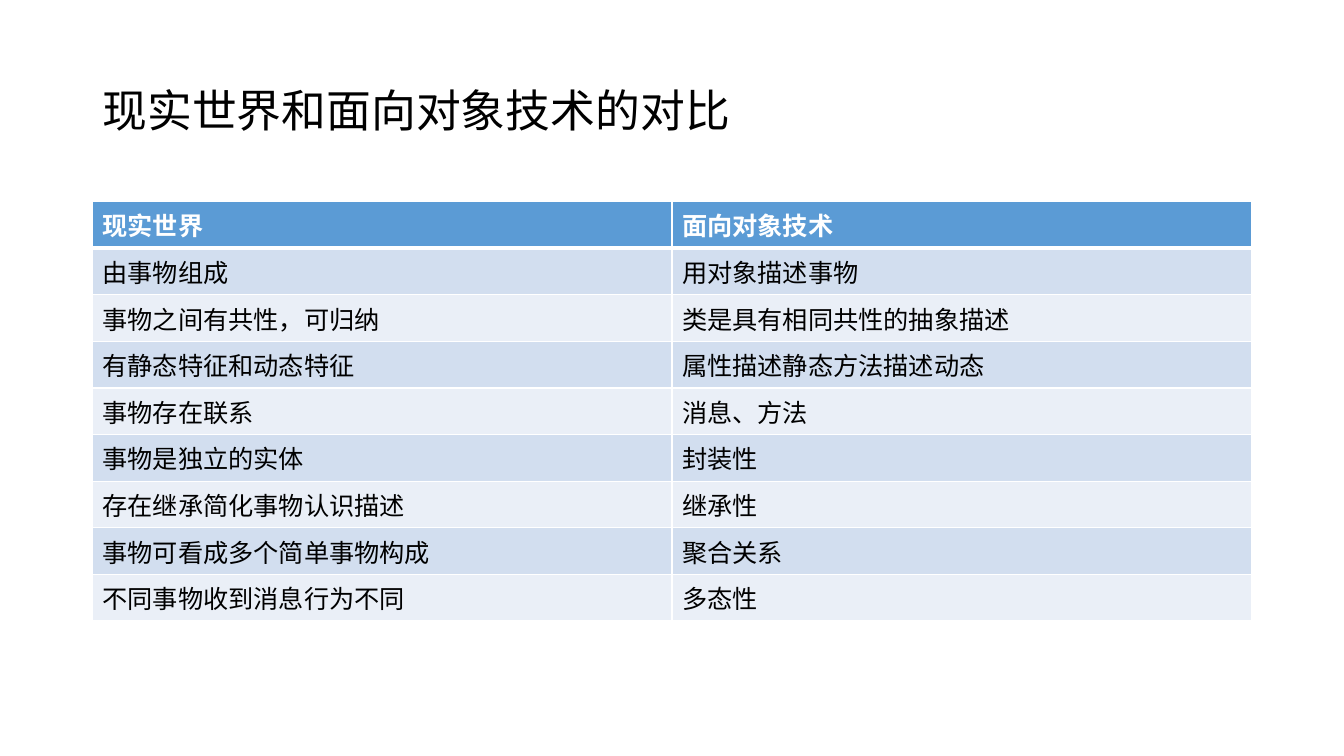
from dataclasses import dataclass

from pptx import Presentation
from pptx.dml.color import RGBColor
from pptx.enum.lang import MSO_LANGUAGE_ID as Language
from pptx.enum.text import MSO_ANCHOR as Anchor, MSO_AUTO_SIZE as AutoSize, PP_ALIGN as Align
from pptx.oxml import parse_xml
from pptx.oxml.ns import nsdecls
from pptx.util import Emu, Pt

PX = 9525  # EMU in one px, 96 px to the inch
TITLE_ONLY = 5

TITLE = "现实世界和面向对象技术的对比"
COMPARISON = [
    ("现实世界", "面向对象技术"),
    ("由事物组成", "用对象描述事物"),
    ("事物之间有共性，可归纳", "类是具有相同共性的抽象描述"),
    ("有静态特征和动态特征", "属性描述静态方法描述动态"),
    ("事物存在联系", "消息、方法"),
    ("事物是独立的实体", "封装性"),
    ("存在继承简化事物认识描述", "继承性"),
    ("事物可看成多个简单事物构成", "聚合关系"),
    ("不同事物收到消息行为不同", "多态性"),
]


@dataclass(frozen=True)
class Theme:
    font: str = "Calibri"
    title_size: int = 32
    cell_size: int = 18
    text: str = "000000"
    header_text: str = "FFFFFF"
    header_fill: str = "5B9BD5"
    bands: tuple = ("D2DEEF", "EAEFF7")
    border: str = "FFFFFF"
    thin: int = 1
    thick: int = 3


def px(length):
    return Emu(length * PX)


class SlideBuilder:
    def __init__(self, page, theme):
        self.page = page
        self.theme = theme

    def style_text(self, frame, size, color, bold=False):
        for para in frame.paragraphs:
            for span in para.runs:
                font = span.font
                font.name = self.theme.font
                font.size = Pt(size)
                font.bold = bold
                font.color.rgb = RGBColor.from_string(color)
                font.language_id = Language.SIMPLIFIED_CHINESE

    def title(self, text, left, top, width, height):
        box = self.page.shapes.title
        box.left, box.top, box.width, box.height = map(px, (left, top, width, height))
        frame = box.text_frame
        frame.text = text
        frame.word_wrap = True
        frame.auto_size = AutoSize.NONE
        frame.vertical_anchor = Anchor.MIDDLE
        frame.paragraphs[0].alignment = Align.LEFT
        frame.paragraphs[0].line_spacing = 0.9
        self.style_text(frame, self.theme.title_size, self.theme.text)

    def border(self, cell, side, width):
        cell._tc.get_or_add_tcPr().append(parse_xml(
            f'<a:ln{side} {nsdecls("a")} w="{Pt(width)}"><a:solidFill>'
            f'<a:srgbClr val="{self.theme.border}"/></a:solidFill></a:ln{side}>'))

    def cell(self, cell, text, row):
        """Fill one cell; a thick rule parts the header row from the banded rows."""
        theme = self.theme
        header = row == 0
        widths = {
            "L": theme.thin,
            "R": theme.thin,
            "T": theme.thick if row == 1 else theme.thin,
            "B": theme.thick if header else theme.thin,
        }
        for side, width in widths.items():
            self.border(cell, side, width)
        fill = theme.header_fill if header else theme.bands[(row - 1) % 2]
        cell.fill.solid()
        cell.fill.fore_color.rgb = RGBColor.from_string(fill)
        cell.text_frame.text = text
        color = theme.header_text if header else theme.text
        self.style_text(cell.text_frame, theme.cell_size, color, bold=header)

    def table(self, rows, left, top, width, row_height):
        grid = self.page.shapes.add_table(
            len(rows), len(rows[0]), px(left), px(top), px(width),
            px(row_height * len(rows))).table
        for row, texts in enumerate(rows):
            for column, text in enumerate(texts):
                self.cell(grid.cell(row, column), text, row)


def main():
    deck = Presentation()
    deck.slide_width, deck.slide_height = px(1280), px(720)
    page = deck.slides.add_slide(deck.slide_layouts[TITLE_ONLY])
    builder = SlideBuilder(page, Theme())
    builder.title(TITLE, 88, 38, 1104, 139)
    builder.table(COMPARISON, 88, 192, 1104, 40)
    deck.save("out.pptx")


if __name__ == "__main__":
    main()
